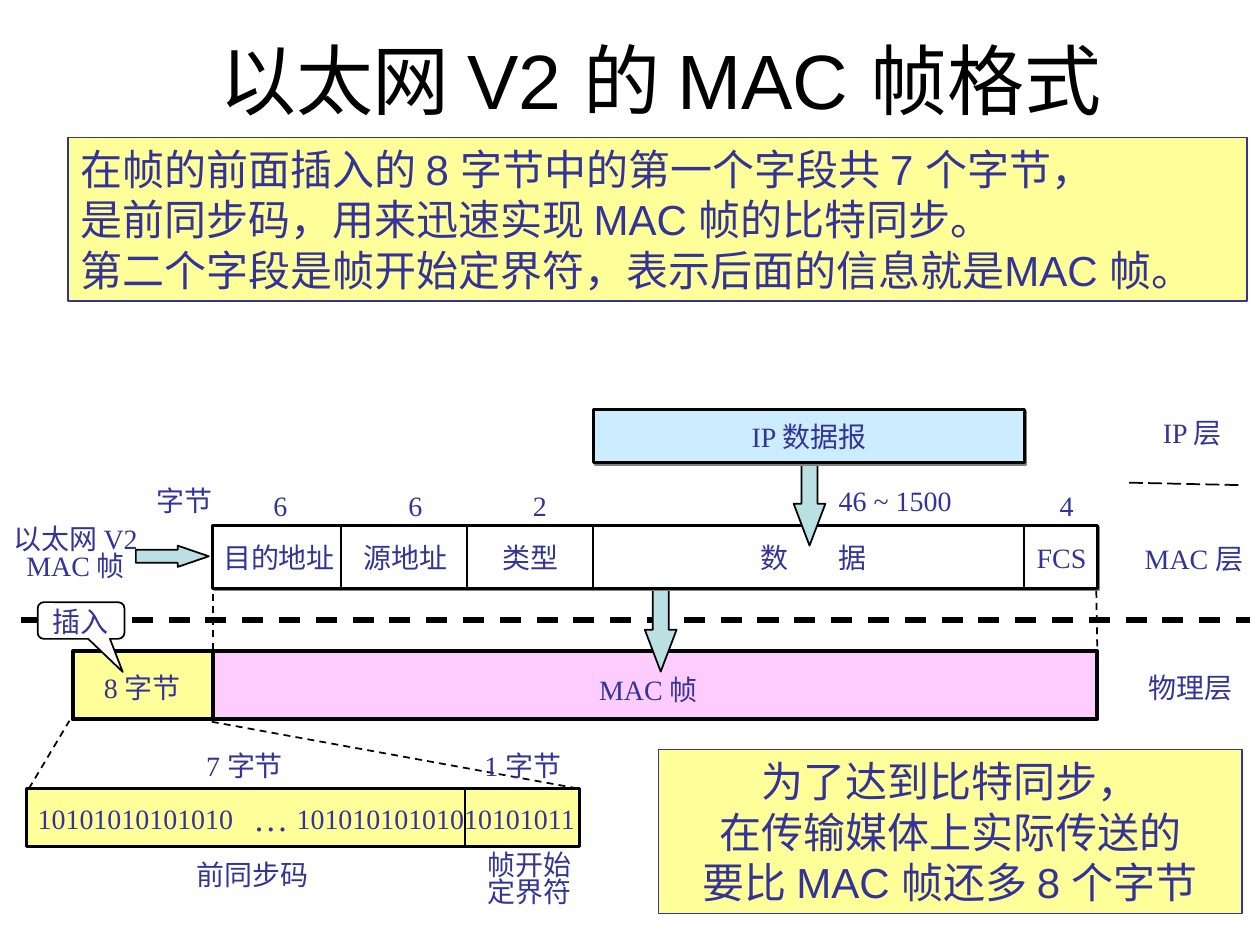
from lxml import etree
from pptx import Presentation
from pptx import util as u
from pptx.dml.color import RGBColor
from pptx.enum import dml, shapes, text
from pptx.oxml.ns import qn

INK, BLACK, WHITE = "333399", "000000", "FFFFFF"
YELLOW, TEAL = "FFFF99", "BBE0E3"
SERIF, SANS = "Times New Roman", "Arial"
KIND, DASH, SIDE = shapes.MSO_SHAPE, dml.MSO_LINE, text.PP_ALIGN
MID = text.MSO_ANCHOR.MIDDLE
GROW = text.MSO_AUTO_SIZE.SHAPE_TO_FIT_TEXT
rgb = RGBColor.from_string

deck = Presentation()
deck.slide_width, deck.slide_height = u.Cm(25.4), u.Cm(19.05)
slide = deck.slides.add_slide(deck.slide_layouts[6])


def put(box, words="", kind=KIND.RECTANGLE, fill=None, edge=None, thick=1, size=16,
        font=SERIF, color=INK, side=SIDE.CENTER, anchor=text.MSO_ANCHOR.TOP,
        space=None, tab=None, adj=(), shade=False, auto=None, pad=0.25):
    """Add a preset shape, or a text box if kind is None; tab is a left tab stop in cm."""
    area = [u.Cm(n) for n in box]
    if kind is None:
        item = slide.shapes.add_textbox(*area)
    else:
        item = slide.shapes.add_shape(kind, *area)
    item.shadow.inherit = False
    for i, part in enumerate(adj):
        item.adjustments[i] = part
    if fill:
        item.fill.solid()
        item.fill.fore_color.rgb = rgb(fill)
    else:
        item.fill.background()
    if edge:
        item.line.color.rgb = rgb(edge)
        item.line.width = u.Pt(thick)
    else:
        item.line.fill.background()
    if shade:
        glow = etree.SubElement(item._element.spPr.find(qn("a:effectLst")), qn("a:outerShdw"),
                                dist=str(u.Pt(1.4)), dir="2700000", algn="ctr", rotWithShape="0")
        etree.SubElement(glow, qn("a:srgbClr"), val="808080")
    if words:
        frame = item.text_frame
        form = {"text": words, "word_wrap": False, "vertical_anchor": anchor,
                "auto_size": auto, "margin_left": u.Cm(pad), "margin_right": u.Cm(pad)}
        for key, val in form.items():
            setattr(frame, key, val)
        for para in frame.paragraphs:
            para.alignment, para.line_spacing = side, space
            for key, val in {"size": u.Pt(size), "name": font}.items():
                setattr(para.font, key, val)
            para.font.color.rgb = rgb(color)
            if tab:
                stops = etree.Element(qn("a:tabLst"))
                etree.SubElement(stops, qn("a:tab"), pos=str(u.Cm(tab)), algn="l")
                para._p.get_or_add_pPr().find(qn("a:defRPr")).addprevious(stops)
    return item


def wire(x1, y1, x2, y2, thick=1, dash=None):
    line = slide.shapes.add_connector(shapes.MSO_CONNECTOR.STRAIGHT,
                                      *map(u.Cm, (x1, y1, x2, y2)))
    line.line.color.rgb = rgb(BLACK)
    line.line.width, line.line.dash_style = u.Pt(thick), dash
    etree.SubElement(line._element.spPr, qn("a:effectLst"))


# Title and notes
put((2.49, 0.53, 21.64, 2.13), "以太网 V2 的 MAC 帧格式", size=44, font=SANS,
    color=BLACK, anchor=MID)
note = {"fill": YELLOW, "edge": INK, "thick": 0.75, "size": 24, "font": SANS, "auto": GROW}
put((1.37, 2.77, 23.77, 3.3),
    "在帧的前面插入的 8 字节中的第一个字段共 7 个字节，\n"
    "是前同步码，用来迅速实现 MAC 帧的比特同步。\n"
    "第二个字段是帧开始定界符，表示后面的信息就是MAC 帧。", side=SIDE.LEFT, **note)
tip = put((13.28, 15.11, 11.76, 3.3),
          "为了达到比特同步，\n在传输媒体上实际传送的\n要比 MAC 帧还多 8 个字节", **note)
tip.text_frame.paragraphs[0].font.name = "Cabin"

# Layer borders and projection lines
wire(0.43, 12.5, 25.2, 12.5, 3, DASH.DASH)
wire(22.76, 9.73, 25.04, 9.78, 1, DASH.LONG_DASH)
for ends in ((4.29, 11.73, 4.29, 13.16), (22.1, 11.91, 22.12, 13.13),
             (0.58, 15.9, 1.4, 14.53), (4.27, 14.55, 11.68, 15.9)):
    wire(*ends, dash=DASH.DASH)

# Physical layer
put((4.29, 13.13, 17.83, 1.37), fill="FFCCFF", edge=BLACK, thick=2.25)
put((1.47, 13.13, 2.82, 1.37), fill=YELLOW, edge=BLACK, thick=2.25)
put((0.53, 15.9, 11.15, 1.17), fill=YELLOW, edge=BLACK, thick=1.5)
wire(9.37, 15.9, 9.37, 17.09)

# Frame fields, arrows and IP datagram
arrow = {"fill": TEAL, "edge": BLACK}
down = {"kind": KIND.DOWN_ARROW, "adj": (0.5, 1.32), **arrow}
put((13, 11.84, 0.64, 1.7), **down)
put((4.29, 10.59, 17.83, 1.27), fill=WHITE, edge=BLACK, thick=1.5, shade=True)
for x in (6.88, 9.42, 11.96, 20.65):
    wire(x, 10.59, x, 11.86)
put((16, 9.3, 0.64, 1.7), **down)
put((11.96, 8.26, 8.69, 1.07), "IP 数据报", fill="CCECFF", edge=BLACK, thick=1.5,
    anchor=MID, shade=True)
put((2.74, 11, 1.47, 0.43), kind=KIND.RIGHT_ARROW, adj=(0.61, 1.46), **arrow)
put((0.76, 12.14, 1.75, 0.74), kind=KIND.ROUNDED_RECTANGULAR_CALLOUT,
    adj=(0.48, 1.4, 0.17), fill=WHITE, edge=BLACK)

# Labels: left, top, width, words
label = {"kind": None, "auto": GROW, "pad": 0.1}
for x, y, w, words in (
        (23.11, 8.26, 1.85, "IP 层"), (22.76, 10.8, 2.62, "MAC 层"),
        (22.91, 13.39, 2.18, "物理层"), (11.76, 13.44, 2.62, "MAC 帧"),
        (4.24, 10.77, 2.77, "目的地址"), (7.09, 10.77, 2.18, "源地址"),
        (9.88, 10.77, 1.63, "类型"), (20.65, 10.77, 1.5, "FCS"),
        (2.9, 9.63, 1.63, "字节"), (5.26, 9.73, 0.79, "6"), (7.98, 9.73, 0.79, "6"),
        (10.49, 9.73, 0.79, "2"), (16.66, 9.63, 2.77, "46 ~ 1500"),
        (21.11, 9.73, 0.79, "4"), (0.81, 12.07, 1.63, "插入"),
        (1.78, 13.39, 2.18, "8 字节"), (3.84, 14.96, 2.18, "7 字节"),
        (9.45, 14.96, 2.18, "1 字节"), (3.71, 17.17, 2.77, "前同步码")):
    put((x, y, w, 0.91), words, **label)
for x, y, w, words in ((-0.05, 10.52, 3.15, "以太网 V2\nMAC 帧"),
                       (9.58, 17.09, 2.18, "帧开始\n定界符")):
    put((x, y, w, 1.32), words, space=0.8, **label)
for x, y, w, words, tab in (
        (15.09, 10.77, 2.64, "数\t据", 1.57),
        (0.51, 16.03, 11.35, "10101010101010\t10101010101010101011", 5.22)):
    put((x, y, w, 0.91), words, side=SIDE.LEFT, tab=tab, auto=GROW)
put((4.85, 15.93, 1.22, 1.12), "…", size=20, **label)

deck.save("out.pptx")
